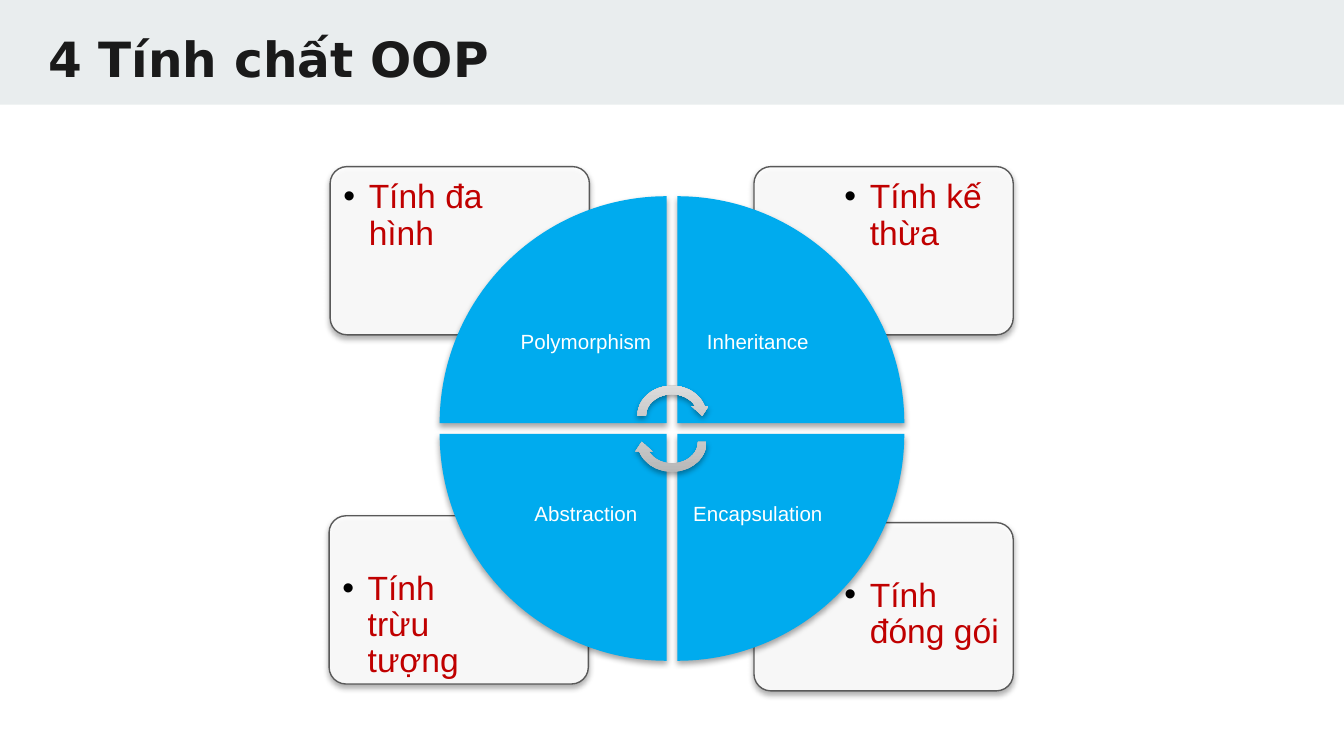
from lxml import etree
from pptx import Presentation
from pptx.dml.color import RGBColor
from pptx.enum import shapes, text
from pptx.oxml.ns import qn
from pptx.util import Cm, Pt

# Content: column and row are 0 or 1; card position in cm; wedge turn in degrees
TITLE = "4 Tính chất OOP"
PROPERTIES = [
    # label, explanation, column, row, card left, card top, turn
    ("Encapsulation", "Tính đóng gói", 1, 1, 14.25, 9.88, 180),
    ("Abstraction", "Tính trừu tượng", 0, 1, 6.22, 9.75, 270),
    ("Inheritance", "Tính kế thừa", 1, 0, 14.25, 3.15, 90),
    ("Polymorphism", "Tính đa hình", 0, 0, 6.24, 3.15, 0),
]
CYCLE_ARROWS = [(7.21, 0), (7.7, 180)]  # top, turn

COLOURS = {
    "band": "E9EDEE", "title": "1A1A1A", "card": "FFFFFF", "border": "595959",
    "explanation": "C00000", "bullet": "000000", "wedge": "00ABEE",
    "label": "FFFFFF", "arrow_dark": "B5B5B5", "arrow_light": "DEDEDE",
    "shadow": "000000",
}

# Layout in cm
CENTRE_X, CENTRE_Y = 12.7, 8.1
WEDGE, GAP, LABEL = 4.29, 0.2, 3.05
CARD_W, CARD_H = 4.9, 3.18
NOTE_W, NOTE_H, NOTE_EDGE = 3.3, 2.24, 0.07
ARROW_W, ARROW_H = 1.47, 1.3

prs = Presentation()
prs.slide_width, prs.slide_height = Cm(25.4), Cm(14.29)
slide = prs.slides.add_slide(prs.slide_layouts[6])


def colour(name):
    return RGBColor.from_string(COLOURS[name])


def child(parent, tag, **attributes):
    return etree.SubElement(parent, qn(tag), attributes)


def add_shape(kind, box, fill=None, turn=0):
    shape = slide.shapes.add_shape(kind, *map(Cm, box))
    shape.rotation = turn
    shape.shadow.inherit = False
    shape.line.fill.background()
    if fill:
        shape.fill.solid()
        shape.fill.fore_color.rgb = colour(fill)
    return shape


def add_shadow(shape):
    effects = shape._element.spPr.find(qn("a:effectLst"))
    shadow = child(effects, "a:outerShdw", blurRad=str(Pt(3.1)),
                   dist=str(Pt(1.8)), dir="5400000", rotWithShape="0")
    tint = child(shadow, "a:srgbClr", val=COLOURS["shadow"])
    child(tint, "a:alpha", val="35000")


def add_text(words, box, inset, size, fill, font="Arial", bold=False):
    frame = slide.shapes.add_textbox(*map(Cm, box)).text_frame
    frame.word_wrap = True
    frame.margin_left = frame.margin_right = Cm(inset)
    frame.margin_top = frame.margin_bottom = Cm(inset)
    paragraph = frame.paragraphs[0]
    run = paragraph.add_run()
    run.text = words
    run.font.size, run.font.name, run.font.bold = Pt(size), font, bold
    run.font.color.rgb = colour(fill)
    return frame, paragraph


def add_bullet(paragraph):
    props = paragraph._p.get_or_add_pPr()
    props.set("marL", str(Cm(0.48)))
    props.set("indent", str(-Cm(0.48)))
    tint = child(props, "a:buClr")
    child(tint, "a:srgbClr", val=COLOURS["bullet"])
    child(props, "a:buFont", typeface="Arial")
    child(props, "a:buChar", char="•")


# Title band
add_shape(shapes.MSO_SHAPE.RECTANGLE, (0, 0, 25.4, 1.98), "band")
add_text(TITLE, (0.66, 0.3, 24.18, 1.5), 0.25, 26, "title", "DejaVu Sans", True)

# Cards, each with its explanation in the outer corner
for label, explanation, column, row, left, top, turn in PROPERTIES:
    card = add_shape(shapes.MSO_SHAPE.ROUNDED_RECTANGLE,
                     (left, top, CARD_W, CARD_H), "card")
    card.adjustments[0] = 0.1
    card.line.color.rgb = colour("border")
    card.line.width = Pt(0.75)
    tint = card._element.spPr.find(qn("a:solidFill"))[0]
    child(tint, "a:alpha", val="90000")
    add_shadow(card)

    note_left = left + (CARD_W - NOTE_W - NOTE_EDGE if column else NOTE_EDGE)
    note_top = top + (CARD_H - NOTE_H - NOTE_EDGE if row else NOTE_EDGE)
    _, note = add_text(explanation, (note_left, note_top, NOTE_W, NOTE_H),
                       0.18, 18, "explanation")
    note.line_spacing, note.space_after = 0.9, Pt(2.7)
    add_bullet(note)

# Quarter wedges around the centre, each with its label on the inner side
for label, explanation, column, row, left, top, turn in PROPERTIES:
    def corner(size):
        return (CENTRE_X + (GAP / 2 if column else -GAP / 2 - size),
                CENTRE_Y + (GAP / 2 if row else -GAP / 2 - size), size, size)

    add_shadow(add_shape(shapes.MSO_SHAPE.PIE_WEDGE, corner(WEDGE), "wedge", turn))
    frame, name = add_text(label, corner(LABEL), 0.22, 11, "label")
    frame.vertical_anchor = text.MSO_ANCHOR.MIDDLE
    name.alignment = text.PP_ALIGN.CENTER
    name.line_spacing, name.space_after = 0.9, Pt(3.85)

# Cycle arrows
for top, turn in CYCLE_ARROWS:
    arrow = add_shape(shapes.MSO_SHAPE.CIRCULAR_ARROW,
                      (CENTRE_X - ARROW_W / 2, top, ARROW_W, ARROW_H), turn=turn)
    arrow.fill.gradient()
    arrow.fill.gradient_angle = 90
    for stop, shade in zip(arrow.fill.gradient_stops, ("arrow_dark", "arrow_light")):
        stop.color.rgb = colour(shade)
    arrow._element.spPr.find(qn("a:gradFill")).set("rotWithShape", "0")
    add_shadow(arrow)

prs.save("out.pptx")
